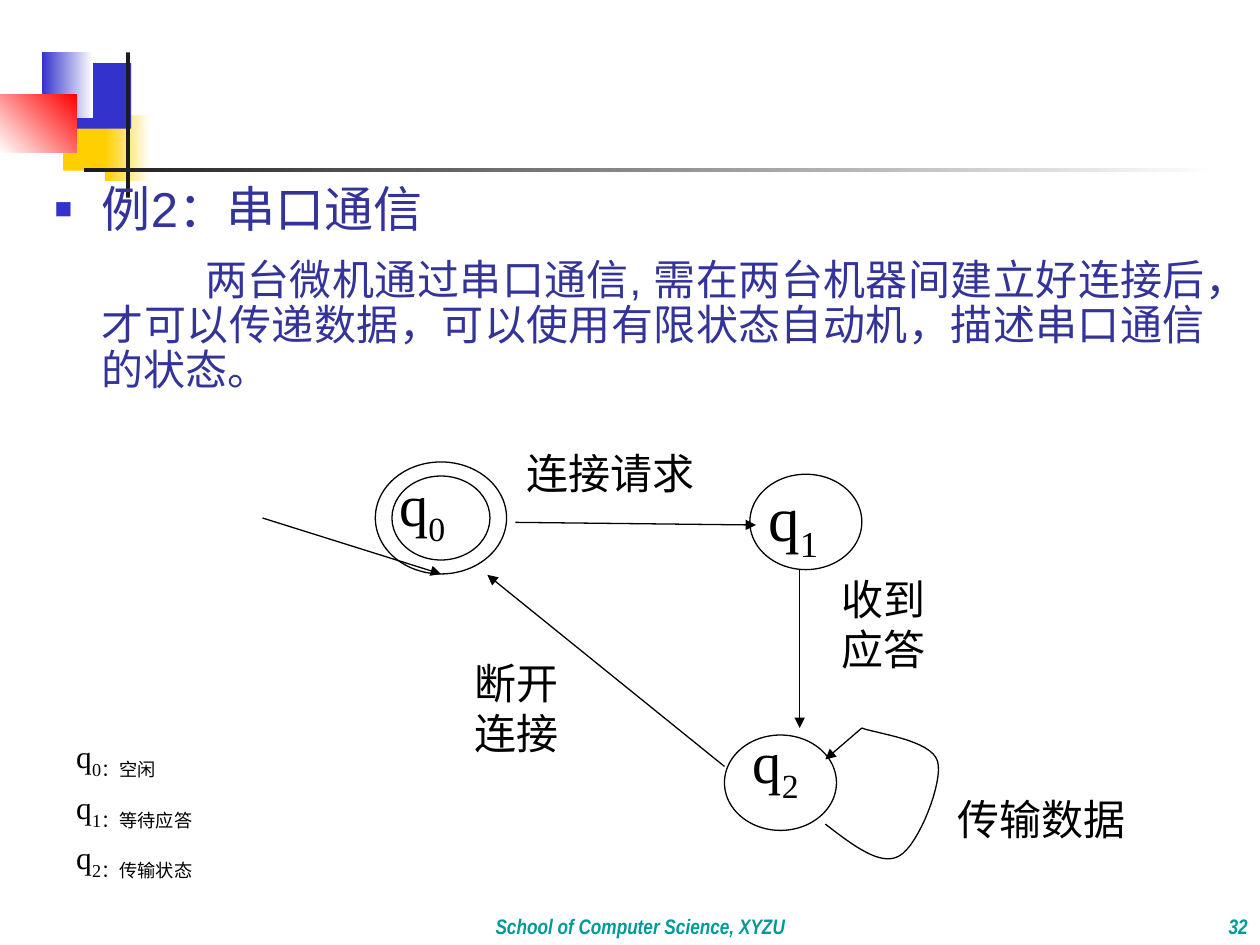
from lxml import etree
from pptx import Presentation
from pptx.dml.color import RGBColor
from pptx.enum import shapes, text
from pptx.oxml import ns
from pptx.util import Pt

BLACK, WHITE, BLUE, YELLOW = "000000", "FFFFFF", "3333CC", "FFCF01"
TEAL, INDIGO, DARK = "009999", "333399", "1C1C1C"
SERIF = "Times New Roman"
ALIGN, ANCHOR = text.PP_ALIGN, text.MSO_ANCHOR

# Content: boxes are (left, top, width, height) in points
DECORATION = [  # box, colours (two make a gradient), angle
    ((36, 60, 34.5, 37.5), [YELLOW], 0),
    ((60, 66, 26, 37.5), [YELLOW, WHITE], 0),
    ((42, 36, 33, 37.5), [BLUE], 0),
    ((24, 30, 29, 37.5), [BLUE, WHITE], 0),
    ((0, 54, 44, 33), [WHITE, "FF0000"], 45),
    ((72, 30, 2.25, 83), [DARK], 0),
    ((48, 96, 648, 2.25), [DARK, WHITE], 0),
]
HEADING = "例2：串口通信"
BODY = ("两台微机通过串口通信, 需在两台机器间建立好连接后，才可以传递数据，"
        "可以使用有限状态自动机，描述串口通信的状态。")
LABELS = [  # box, lines, fill
    ((540, 450, 150, 54.5), ["传输数据"], WHITE),
    ((474, 324, 107, 91), ["收到", "应答"], WHITE),
    ((264, 372, 107, 91), ["断开", "连接"], WHITE),
    ((294, 252, 150, 54.5), ["连接请求"], None),
]
RINGS = {
    "q0": (214.5, 264, 75, 64),
    "q0 accepting": (224, 272, 56, 48),
    "q1": (428.5, 271, 64, 54.5),
    "q2": (414, 420, 64, 54.5),
}
NAMES = [  # box, subscript, size
    ((221, 264, 64, 54.5), "0", 33.3),
    ((432, 270, 76, 66), "1", 36),
    ((423, 411, 64, 54.5), "2", 33.3),
]
ENTRY = (150, 296, 214.5, 296)
ARROWS = [
    (294.5, 298.5, 432, 300),
    (457, 325.5, 457, 416),
    (414, 438, 278.5, 328.5),
    (492.5, 416, 471.6, 434),
]
LOOP_START = (471.6, 470.9)
LOOP = [  # Bezier control, control, end
    ((487.4, 483), (503.3, 495.4), (514, 489)),
    ((524.9, 483), (539.3, 446.4), (535.7, 434.9)),
    ((532, 422.6), (499.7, 419), (492.5, 416)),
]
LEGEND_BOX = (36.5, 417.5, 122.5, 90)
LEGEND = ["空闲", "等待应答", "传输状态"]
FOOTERS = [  # box, text, alignment, line spacing
    ((600, 504, 120, 36), "32", ALIGN.RIGHT, None),
    ((114, 504, 504, 36), "School of Computer Science, XYZU", ALIGN.CENTER, 1.1),
]


def color(code):
    return RGBColor.from_string(code)


def points(values):
    return [Pt(value) for value in values]


def style_shape(shape, colors=(), angle=0, line=None):
    shape.shadow.inherit = False
    if len(colors) == 2:
        shape.fill.gradient()
        shape.fill.gradient_angle = angle
        for stop, code, position in zip(shape.fill.gradient_stops, colors, (0, 1)):
            stop.color.rgb = color(code)
            stop.position = position
    elif colors:
        shape.fill.solid()
        shape.fill.fore_color.rgb = color(colors[0])
    else:
        shape.fill.background()
    if line:
        shape.line.color.rgb = color(line)
        shape.line.width = Pt(0.75)
    else:
        shape.line.fill.background()


def add_shape(page, kind, box, **style):
    shape = page.shapes.add_shape(kind, *points(box))
    style_shape(shape, **style)
    return shape


def add_box(page, box, anchor=ANCHOR.TOP):
    frame = page.shapes.add_textbox(*points(box)).text_frame
    frame.word_wrap = True
    frame.vertical_anchor = anchor
    return frame


def write(frame, content, first=True, sub=None, size=24, font=SERIF, ink=BLACK,
          bold=False, italic=False, align=ALIGN.JUSTIFY, spacing=None,
          before=0, after=0):
    """Write one paragraph; sub is added as a subscript."""
    para = frame.paragraphs[0] if first else frame.add_paragraph()
    para.alignment = align
    para.space_before, para.space_after = Pt(before), Pt(after)
    if spacing:
        para.line_spacing = spacing
    for part, baseline in ((content, None), (sub, "-25000")):
        if not part:
            continue
        span = para.add_run()
        span.text = part
        span.font.size, span.font.name = Pt(size), font
        span.font.bold, span.font.italic = bold, italic
        span.font.color.rgb = color(ink)
        if baseline:
            span._r.get_or_add_rPr().set("baseline", baseline)
    return para


def set_bullet(para, margin, indent, mark=None):
    props = para._p.get_or_add_pPr()
    props.set("marL", str(Pt(margin)))
    props.set("indent", str(Pt(indent)))

    def add(tag, parent=props, **attributes):
        return etree.SubElement(parent, ns.qn(tag), **attributes)

    if mark:
        add("a:srgbClr", add("a:buClr"), val=BLUE)
        add("a:buSzPct", val="60000")
        add("a:buFont", typeface="Arial")
        add("a:buChar", char=mark)
    else:
        add("a:buNone")


def add_arrow(page, ends):
    arrow = page.shapes.add_connector(shapes.MSO_CONNECTOR.STRAIGHT, *points(ends))
    arrow.line.color.rgb = color(BLACK)
    arrow.line.width = Pt(0.75)
    etree.SubElement(arrow.line._get_or_add_ln(), ns.qn("a:tailEnd"), type="triangle")
    etree.SubElement(arrow._element.spPr, ns.qn("a:effectLst"))
    return arrow


def trace_curve(start, curves, steps=16):
    for first, second, end in curves:
        for step in range(1, steps + 1):
            t = step / steps
            u = 1 - t
            yield tuple(u**3 * a + 3 * u * u * t * b + 3 * u * t * t * c + t**3 * d
                        for a, b, c, d in zip(start, first, second, end))
        start = end


def main():
    deck = Presentation()
    deck.slide_width, deck.slide_height = Pt(720), Pt(540)
    page = deck.slides.add_slide(deck.slide_layouts[1])
    title = page.shapes.title
    title._element.getparent().remove(title._element)
    rect, oval = shapes.MSO_SHAPE.RECTANGLE, shapes.MSO_SHAPE.OVAL

    # Corner decoration
    for box, colors, angle in DECORATION:
        add_shape(page, rect, box, colors=colors, angle=angle)

    # Body text, in front of the decoration
    body = page.placeholders[1]
    body.left, body.top, body.width, body.height = points((24, 102, 672, 138))
    page.shapes._spTree.append(body._element)
    frame = body.text_frame
    frame.auto_size = text.MSO_AUTO_SIZE.NONE
    look = dict(font="Arial", ink=INDIGO, spacing=0.9, after=6)
    set_bullet(write(frame, HEADING, size=28, before=7, **look), 27, -27, "■")
    set_bullet(write(frame, BODY, first=False, before=6, **look), 27, 59)

    # Footer and page number
    for box, content, align, spacing in FOOTERS:
        write(add_box(page, box, ANCHOR.BOTTOM), content, size=12, font="Arial Narrow",
              ink=TEAL, bold=True, italic=True, align=align, spacing=spacing)

    # Transition labels
    for box, lines, fill in LABELS:
        frame = add_box(page, box)
        if fill:
            label = page.shapes[-1]
            label.fill.solid()
            label.fill.fore_color.rgb = color(fill)
        for index, content in enumerate(lines):
            write(frame, content, first=index == 0)

    # States and transitions
    rings = {name: add_shape(page, oval, box, colors=[WHITE], line=BLACK)
             for name, box in RINGS.items()}
    add_arrow(page, ENTRY).end_connect(rings["q0"], 2)  # an oval's left site
    for ends in ARROWS:
        add_arrow(page, ends)
    outline = page.shapes.build_freeform(*points(LOOP_START))
    outline.add_line_segments([points(spot) for spot in trace_curve(LOOP_START, LOOP)],
                              close=False)
    style_shape(outline.convert_to_shape(), line=BLACK)
    for box, number, size in NAMES:
        write(add_box(page, box), "q", sub=number, size=size)

    # Legend
    frame = add_box(page, LEGEND_BOX)
    for index, meaning in enumerate(LEGEND):
        write(frame, "q", first=index == 0, sub=f"{index}：{meaning}", size=18,
              align=ALIGN.LEFT, before=4.5)

    deck.save("out.pptx")


if __name__ == "__main__":
    main()
